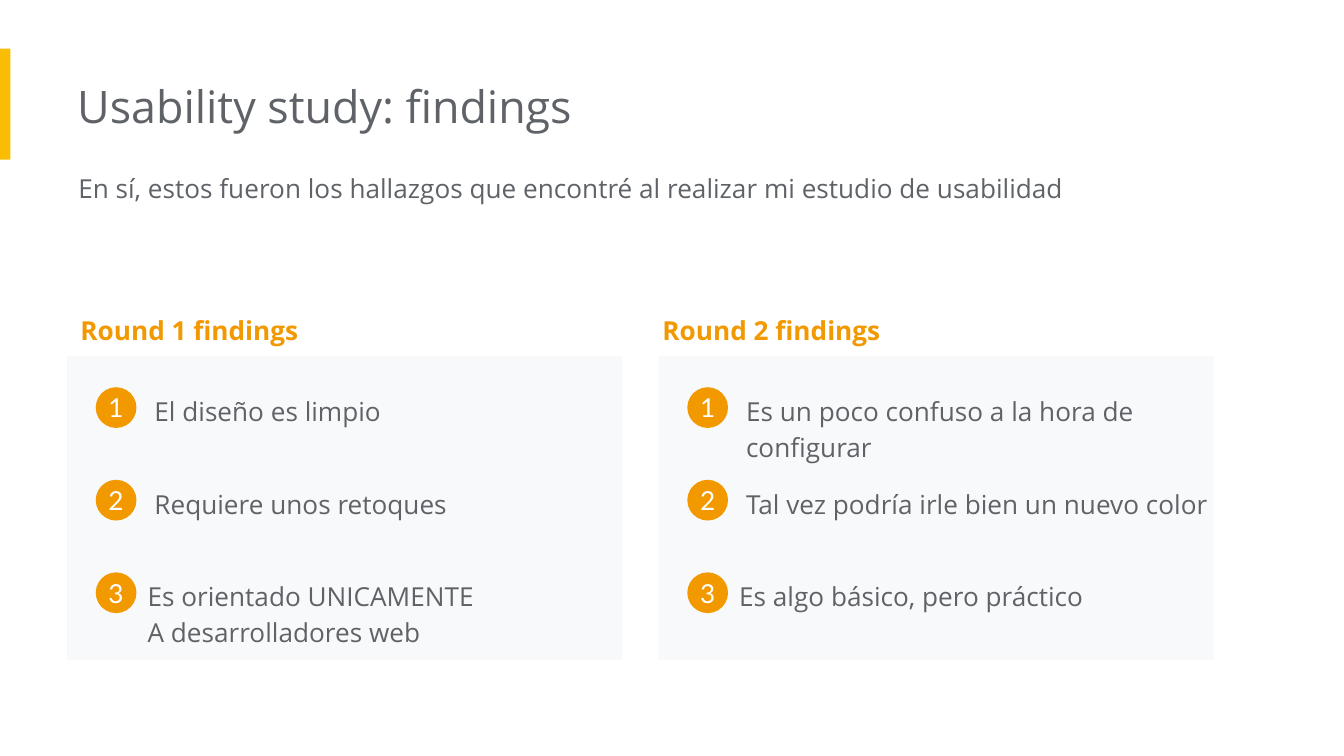
from pptx import Presentation
from pptx.dml.color import RGBColor
from pptx.enum.shapes import MSO_SHAPE
from pptx.enum.text import MSO_ANCHOR, PP_ALIGN
from pptx.util import Cm, Pt

COLORS = {"accent": "FBBC04", "orange": "F29900", "text": "5F6368",
          "panel": "F8F9FA", "white": "FFFFFF"}
BODY = {"name": "Open Sans", "size": Pt(14), "bold": False}
TITLE = {**BODY, "size": Pt(24)}
HEADING = {**BODY, "bold": True}
NUMBER = {**BODY, "name": "Lato"}

prs = Presentation()
prs.slide_width, prs.slide_height = Cm(25.4), Cm(14.29)
s = prs.slides.add_slide(prs.slide_layouts[6])


def add_text(sp, text, font, color, inset_left=0.25, inset=0.25, spacing=1.15):
    tf = sp.text_frame
    tf.word_wrap = True
    tf.margin_left = Cm(inset_left)
    tf.margin_top = tf.margin_right = tf.margin_bottom = Cm(inset)
    p = tf.paragraphs[0]
    p.text = text
    p.line_spacing = spacing
    for r in p.runs:
        for key, value in font.items():
            setattr(r.font, key, value)
        r.font.color.rgb = RGBColor.from_string(COLORS[color])
    return tf


def add_filled(kind, left, top, width, height, color):
    sp = s.shapes.add_shape(kind, Cm(left), Cm(top), Cm(width), Cm(height))
    sp.shadow.inherit = False
    sp.fill.solid()
    sp.fill.fore_color.rgb = RGBColor.from_string(COLORS[color])
    sp.line.fill.background()
    return sp


# Accent bar, title and introduction
add_filled(MSO_SHAPE.RECTANGLE, 0, 0.92, 0.2, 2.1, "accent")
sp = s.shapes.add_textbox(Cm(1.46), Cm(1.24), Cm(17.1), Cm(1.55))
add_text(sp, "Usability study: findings", TITLE, "text", inset_left=0, spacing=1.0)
sp = s.shapes.add_textbox(Cm(1.48), Cm(2.92), Cm(21.87), Cm(1.8))
add_text(sp, "En sí, estos fueron los hallazgos que encontré al realizar mi estudio de usabilidad",
         BODY, "text", inset_left=0)

# Rounds: panel left, heading left, heading, findings
rounds = [
    (1.27, 1.27, "Round 1 findings",
     ["El diseño es limpio", "Requiere unos retoques",
      "Es orientado UNICAMENTE\vA desarrolladores web"]),
    (12.45, 12.27, "Round 2 findings",
     ["Es un poco confuso a la hora de configurar",
      "Tal vez podría irle bien un nuevo color",
      "Es algo básico, pero práctico"]),
]
text_offsets = [1.4, 1.4, 1.27]
two_line = {(0, 2), (1, 0)}
row_pitch = 1.75

for i, (left, heading_left, heading, findings) in enumerate(rounds):
    add_filled(MSO_SHAPE.RECTANGLE, left, 6.73, 10.49, 5.74, "panel")
    sp = s.shapes.add_textbox(Cm(heading_left), Cm(5.61), Cm(9.27), Cm(1.12))
    add_text(sp, heading, HEADING, "orange")

    for j, (finding, offset) in enumerate(zip(findings, text_offsets)):
        height = 1.8 if (i, j) in two_line else 1.12
        sp = s.shapes.add_textbox(Cm(left + offset), Cm(7.14 + j * row_pitch),
                                  Cm(9.27), Cm(height))
        add_text(sp, finding, BODY, "text")

        # Numbered badge
        sp = add_filled(MSO_SHAPE.OVAL, left + 0.54, 7.32 + j * row_pitch,
                        0.77, 0.77, "orange")
        tf = add_text(sp, str(j + 1), NUMBER, "white", inset_left=0, inset=0, spacing=1.0)
        tf.vertical_anchor = MSO_ANCHOR.MIDDLE
        tf.paragraphs[0].alignment = PP_ALIGN.CENTER

prs.save("out.pptx")
